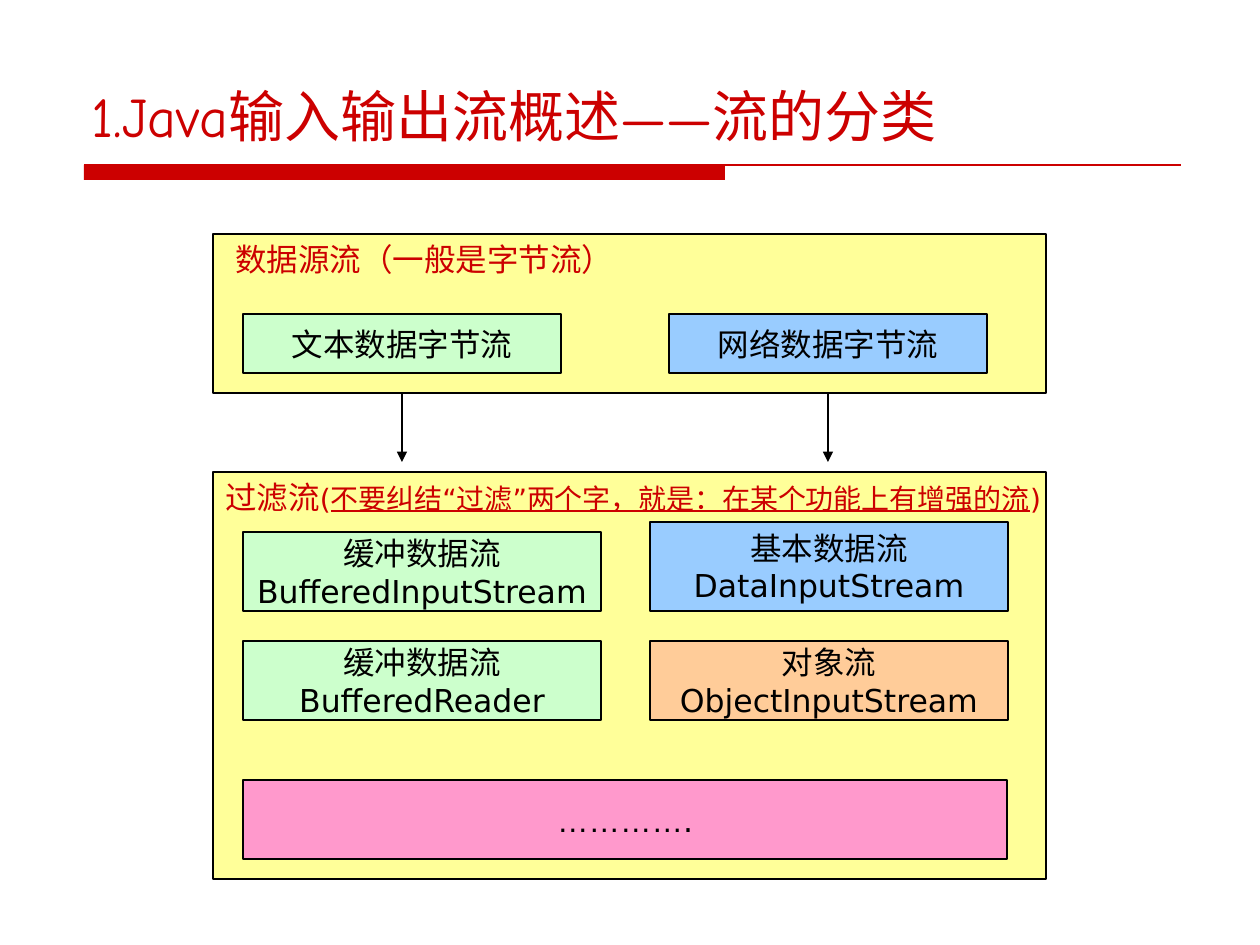
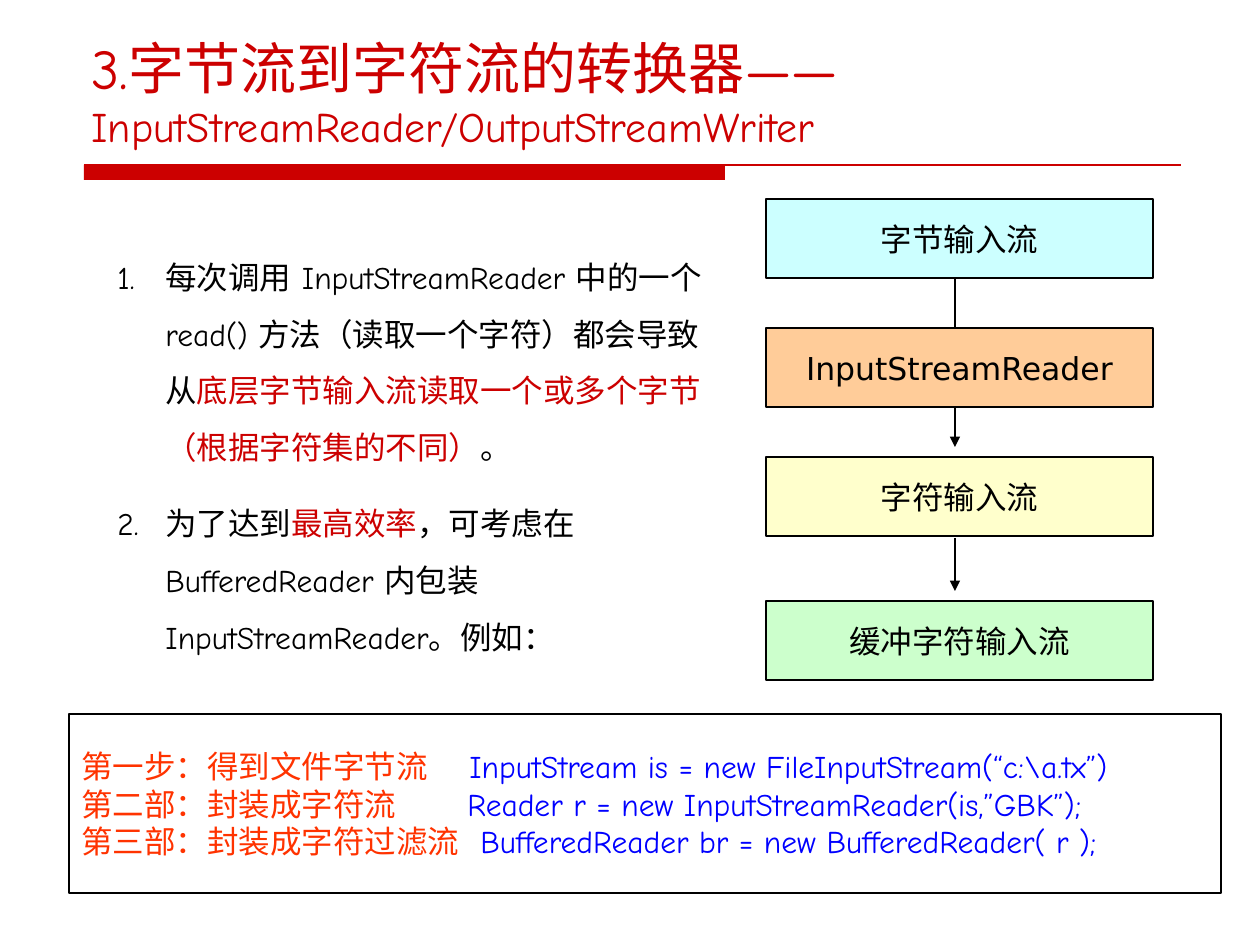
"""Build two slides on Java stream classes and byte-to-character conversion."""
from lxml import etree
from pptx import Presentation
from pptx.dml.color import RGBColor
from pptx.enum.shapes import MSO_CONNECTOR, MSO_SHAPE
from pptx.enum.text import MSO_ANCHOR, PP_ALIGN
from pptx.oxml.ns import qn
from pptx.util import Emu, Pt

PX = 914400 / 126
RECTANGLE = MSO_SHAPE.RECTANGLE
STRAIGHT = MSO_CONNECTOR.STRAIGHT
TOP, MIDDLE, BOTTOM = MSO_ANCHOR.TOP, MSO_ANCHOR.MIDDLE, MSO_ANCHOR.BOTTOM
LEFT, CENTER = PP_ALIGN.LEFT, PP_ALIGN.CENTER

RED = RGBColor(0xCC, 0x00, 0x00)
BLACK = RGBColor(0x00, 0x00, 0x00)
YELLOW = RGBColor(0xFF, 0xFF, 0x99)
CREAM = RGBColor(0xFF, 0xFF, 0xCC)
GREEN = RGBColor(0xCC, 0xFF, 0xCC)
BLUE = RGBColor(0x99, 0xCC, 0xFF)
CYAN = RGBColor(0xCC, 0xFF, 0xFF)
ORANGE = RGBColor(0xFF, 0xCC, 0x99)
PINK = RGBColor(0xFF, 0x99, 0xCC)
STEP_RED = RGBColor(0xFF, 0x33, 0x00)
CODE_BLUE = RGBColor(0x00, 0x00, 0xFF)
HEADING_FONT, BOX_FONT, SYMBOL_FONT = "Comic Neue", "DejaVu Sans", "Arial"


def write_box(slide, at, paragraphs, fill=None, line=BLACK, font=BOX_FONT, size=18,
              color=BLACK, align=CENTER, anchor=MIDDLE, wrap=False):
    """Draw a rectangle; each paragraph is a string or a list of (text, format) runs."""
    box = slide.shapes.add_shape(RECTANGLE, *(Emu(round(v * PX)) for v in at))
    box.shadow.inherit = False
    for part, tint in ((box.fill, fill), (box.line.fill, line)):
        if tint is None:
            part.background()
        else:
            part.solid()
            part.fore_color.rgb = tint
    if line is not None:
        box.line.width = Pt(0.75)
    frame = box.text_frame
    frame.word_wrap = wrap
    frame.vertical_anchor = anchor
    for index, runs in enumerate(paragraphs):
        paragraph = frame.add_paragraph() if index else frame.paragraphs[0]
        paragraph.alignment = align
        for text, own in [(runs, {})] if isinstance(runs, str) else runs:
            run = paragraph.add_run()
            run.text = text
            run.font.name = own.get("font", font)
            run.font.size = Pt(own.get("size", size))
            run.font.color.rgb = own.get("color", color)
            run.font.underline = own.get("underline")
            east_asian = etree.SubElement(run.font._element, qn("a:ea"))
            east_asian.set("typeface", own.get("font", font))
    return box


def connect(slide, x1, y1, x2, y2, color=BLACK, arrow=True):
    """Draw a straight line, with an arrowhead at its end if asked."""
    ends = (Emu(round(v * PX)) for v in (x1, y1, x2, y2))
    link = slide.shapes.add_connector(STRAIGHT, *ends)
    link.line.color.rgb = color
    link.line.width = Pt(0.75)
    if arrow:
        etree.SubElement(link.line._get_or_add_ln(), qn("a:tailEnd")).set("type", "triangle")
    etree.SubElement(link._element.spPr, qn("a:effectLst"))


deck = Presentation()
deck.slide_width, deck.slide_height = Emu(round(1260 * PX)), Emu(round(945 * PX))

titles = [
    (42, ["1.Java输入输出流概述——流的分类"]),
    (44, ["3.字节流到字符流的转换器——",
          [("InputStreamReader/OutputStreamWriter", {"size": 24})]]),
]
slides = []
for title_top, title in titles:
    slide = deck.slides.add_slide(deck.slide_layouts[6])
    write_box(slide, (84, 165, 641, 15), [], fill=RED, line=None)
    connect(slide, 84, 165, 1181, 165, color=RED, arrow=False)
    write_box(slide, (79, title_top, 1102, 113), title, line=None, font=HEADING_FONT,
              size=32, color=RED, align=LEFT, anchor=BOTTOM, wrap=True)
    slides.append(slide)
classes_slide, converter_slide = slides

source_heading = [" 数据源流（一般是字节流）"]
filter_heading = [[
    ("过滤流", {}),
    ("(", {"size": 16}),
    ("不要纠结“过滤”两个字，就是：在某个功能上有增强的流", {"size": 16, "underline": True}),
    (")", {"size": 16}),
]]
for top, height, heading in [(234, 159, source_heading), (472, 407, filter_heading)]:
    write_box(classes_slide, (213, top, 833, height), heading, fill=YELLOW, color=RED,
              align=LEFT, anchor=TOP)

stream_boxes = [
    ((243, 314, 318, 59), GREEN, ["文本数据字节流"]),
    ((669, 314, 318, 59), BLUE, ["网络数据字节流"]),
    ((650, 522, 358, 89), BLUE, ["基本数据流", "DataInputStream"]),
    ((243, 532, 358, 79), GREEN, ["缓冲数据流", "BufferedInputStream"]),
    ((243, 641, 358, 79), GREEN, ["缓冲数据流", "BufferedReader"]),
    ((650, 641, 358, 79), ORANGE, ["对象流", "ObjectInputStream"]),
    ((243, 780, 764, 79), PINK, [[("…………", {"font": SYMBOL_FONT}), (".", {})]]),
]
for at, fill, names in stream_boxes:
    write_box(classes_slide, at, names, fill=fill)
for x in (402, 828):
    connect(classes_slide, x, 393, x, 462)

connect(converter_slide, 955, 279, 955, 447)
connect(converter_slide, 955, 538, 955, 591)
conversion_steps = [
    (199, CYAN, "字节输入流"),
    (328, ORANGE, "InputStreamReader"),
    (457, CREAM, "字符输入流"),
    (601, GREEN, "缓冲字符输入流"),
]
for top, fill, name in conversion_steps:
    write_box(converter_slide, (766, top, 387, 79), [name], fill=fill)

code_steps = [
    ("第一步：得到文件字节流", 388, "InputStream is = new FileInputStream(“c:\\a.tx”)"),
    ("第二部：封装成字符流", 386, "Reader r = new InputStreamReader(is,”GBK”);"),
    ("第三部：封装成字符过滤流", 399, "BufferedReader br = new BufferedReader( r );"),
]
code_box = write_box(
    converter_slide, (69, 714, 1152, 179),
    [[(step + "\t", {"color": STEP_RED}), (code, {"color": CODE_BLUE})]
     for step, _, code in code_steps],
    font=HEADING_FONT, align=LEFT, wrap=True)
for paragraph, (_, code_start, _) in zip(code_box.text_frame.paragraphs, code_steps):
    tabs = etree.SubElement(paragraph._p.get_or_add_pPr(), qn("a:tabLst"))
    etree.SubElement(tabs, qn("a:tab"), pos=str(round(code_start * PX)), algn="l")

notes = write_box(
    converter_slide, (105, 233, 634, 430),
    [[("每次调用 InputStreamReader 中的一个 read() 方法（读取一个字符）都会导致从", {}),
      ("底层字节输入流读取一个或多个字节（根据字符集的不同）", {"color": RED}),
      ("。", {})],
     [("为了达到", {}),
      ("最高效率", {"color": RED}),
      ("，可考虑在 BufferedReader 内包装 InputStreamReader。例如：", {})]],
    line=None, font=HEADING_FONT, align=LEFT, anchor=TOP, wrap=True)
for paragraph in notes.text_frame.paragraphs:
    paragraph.line_spacing = 1.5
    paragraph.space_before = Pt(11.2)
    numbering = paragraph._p.get_or_add_pPr()
    numbering.set("marL", str(round(48 * PX)))
    numbering.set("indent", str(round(-48 * PX)))
    number_color = etree.SubElement(numbering, qn("a:buClr"))
    etree.SubElement(number_color, qn("a:srgbClr"), val=str(BLACK))
    etree.SubElement(numbering, qn("a:buFont"), typeface=SYMBOL_FONT)
    etree.SubElement(numbering, qn("a:buAutoNum"), type="arabicPeriod")

deck.save("out.pptx")
